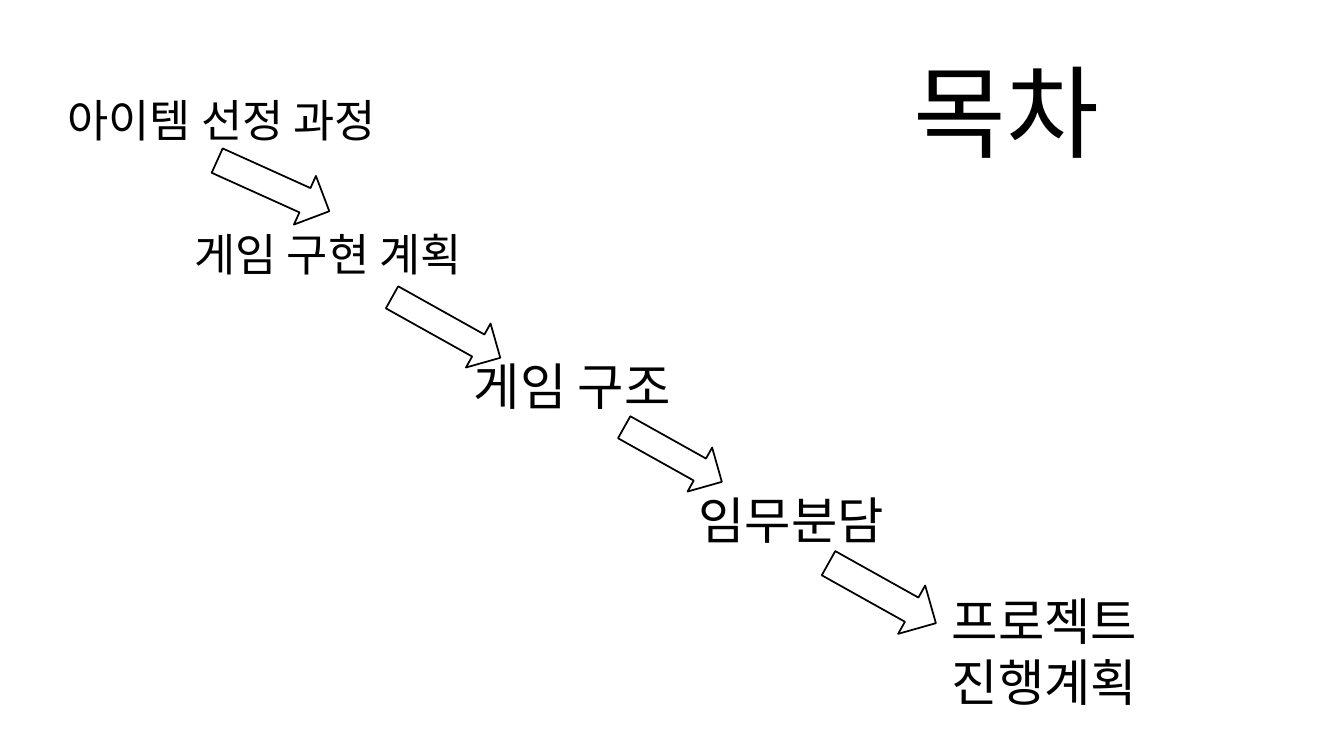
from typing import NamedTuple

from pptx import Presentation
from pptx.dml.color import RGBColor
from pptx.enum.shapes import MSO_SHAPE
from pptx.enum.text import MSO_AUTO_SIZE
from pptx.util import Emu, Pt

PX = 9144
FONT = "Calibri"
BLACK = "000000"


class Label(NamedTuple):
    text: str
    left: int
    top: int
    width: int
    height: int
    size: int


class Arrow(NamedTuple):
    left: int
    top: int
    width: int
    height: int
    angle: float = 29.2


TITLE = Label("목차", 896, 44, 256, 131, 72)

STEPS = [
    Label("아이템 선정 과정", 57, 87, 452, 64, 32),
    Label("게임 구현 계획", 183, 220, 651, 64, 32),
    Label("게임 구조", 460, 347, 618, 71, 36),
    Label("임무분담", 683, 480, 251, 71, 36),
    Label("프로젝트 진행계획", 934, 581, 251, 131, 36),
]

ARROWS = [
    Arrow(210, 158, 122, 53, 24.3),
    Arrow(381, 300, 123, 50),
    Arrow(612, 426, 111, 50),
    Arrow(814, 561, 122, 55),
]


def px(n: int) -> Emu:
    return Emu(n * PX)


def color(value: str) -> RGBColor:
    return RGBColor.from_string(value)


def add_label(s, label: Label) -> None:
    sp = s.shapes.add_textbox(
        px(label.left), px(label.top), px(label.width), px(label.height)
    )
    tf = sp.text_frame
    tf.word_wrap = True
    tf.auto_size = MSO_AUTO_SIZE.SHAPE_TO_FIT_TEXT
    tf.text = label.text
    r = tf.paragraphs[0].runs[0]
    r.font.name = FONT
    r.font.size = Pt(label.size)
    r.font.color.rgb = color(BLACK)


def add_arrow(s, arrow: Arrow) -> None:
    sp = s.shapes.add_shape(
        MSO_SHAPE.RIGHT_ARROW,
        px(arrow.left), px(arrow.top), px(arrow.width), px(arrow.height),
    )
    sp.rotation = arrow.angle
    sp.shadow.inherit = False
    sp.fill.background()
    sp.line.color.rgb = color(BLACK)
    sp.line.width = Pt(1.25)


def main() -> None:
    prs = Presentation()
    prs.slide_width = px(1333)
    prs.slide_height = px(750)
    s = prs.slides.add_slide(prs.slide_layouts[6])
    for label in [TITLE, *STEPS]:
        add_label(s, label)
    for arrow in ARROWS:
        add_arrow(s, arrow)
    prs.save("out.pptx")


if __name__ == "__main__":
    main()
